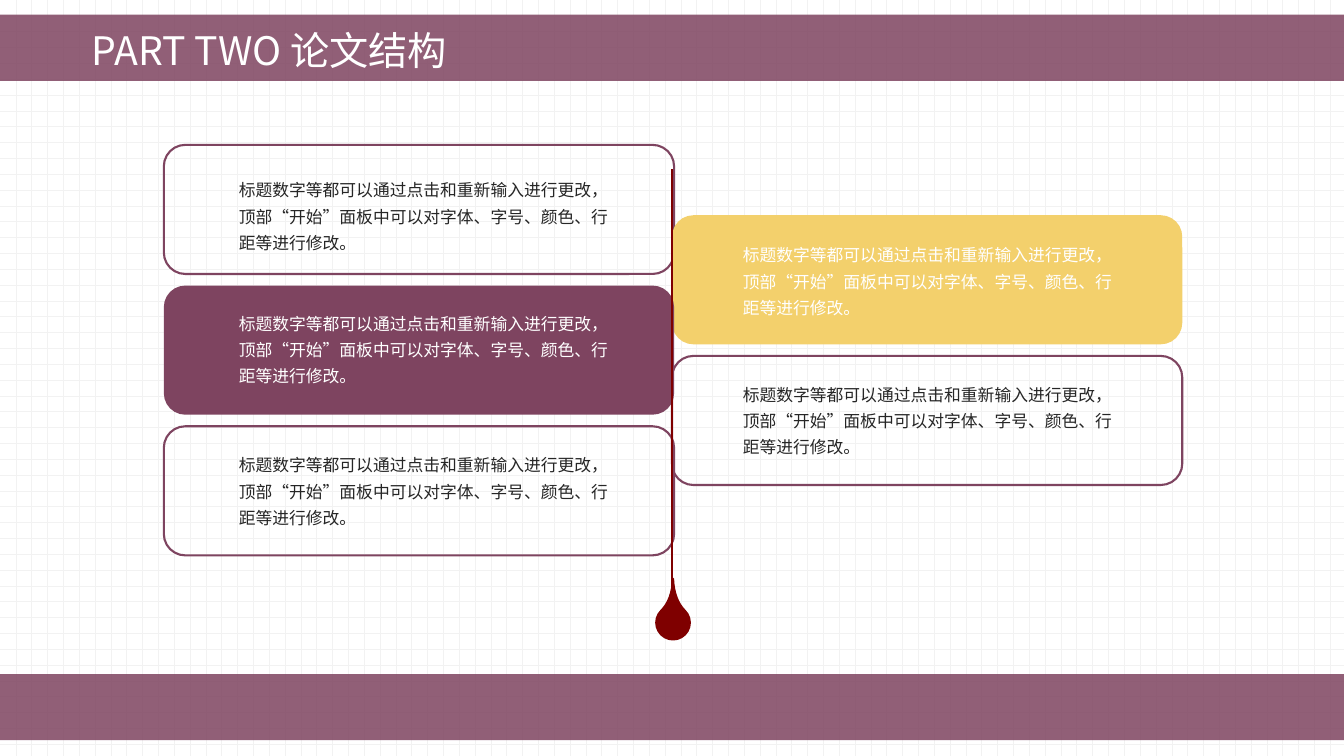
"""Build the thesis structure slide: staggered cards along a central line."""
import dataclasses

import lxml.etree
import pptx
import pptx.dml.color
import pptx.enum.dml
import pptx.enum.shapes
import pptx.enum.text
import pptx.oxml.ns
import pptx.util

EMU_PER_PX = 9525
SHAPE = pptx.enum.shapes.MSO_SHAPE
ANCHOR = pptx.enum.text.MSO_ANCHOR
TITLE = "PART TWO 论文结构"
CARD_TEXT = "标题数字等都可以通过点击和重新输入进行更改，顶部“开始”面板中可以对字体、字号、颜色、行距等进行修改。"


@dataclasses.dataclass(frozen=True)
class Theme:
    """Hold the colours, font and sizes of the slide."""
    plum: str = "7E4460"
    gold: str = "F3D06C"
    maroon: str = "7F0000"
    ink: str = "262626"
    white: str = "FFFFFF"
    grid: str = "F2F2F2"
    font: str = "Noto Sans CJK SC"
    title_size: int = 28
    body_size: int = 12
    line_width: float = 1.5


THEME = Theme()


def px(length):
    """Convert pixels to EMU."""
    return pptx.util.Emu(length * EMU_PER_PX)


def rgb(colour):
    """Turn a hex string into a colour."""
    return pptx.dml.color.RGBColor.from_string(colour)


def apply_format(target, values):
    """Set each named attribute on the target."""
    for name, value in values.items():
        setattr(target, name, value)


def paint_background(slide):
    """Fill the background with a pale dotted grid."""
    fill = slide.background.fill
    fill.patterned()
    fill.pattern = pptx.enum.dml.MSO_PATTERN.DOTTED_GRID
    fill.fore_color.rgb = rgb(THEME.grid)
    fill.back_color.rgb = rgb(THEME.white)


def style_line(line, colour):
    """Give a line its colour and the common width."""
    line.color.rgb = rgb(colour)
    line.width = pptx.util.Pt(THEME.line_width)


def add_figure(slide, preset, box, fill=None, outline=None):
    """Add a flat preset shape with an optional fill and outline."""
    figure = slide.shapes.add_shape(preset, *map(px, box))
    figure.shadow.inherit = False
    if fill:
        figure.fill.solid()
        figure.fill.fore_color.rgb = rgb(fill)
    else:
        figure.fill.background()
    if outline:
        style_line(figure.line, outline)
    else:
        figure.line.fill.background()
    return figure


def add_band(slide, top):
    """Add a translucent band across the slide."""
    band = add_figure(slide, SHAPE.RECTANGLE, (0, top, 1280, 63), THEME.plum)
    qn = pptx.oxml.ns.qn
    colour = next(band._element.spPr.iter(qn("a:srgbClr")))
    lxml.etree.SubElement(colour, qn("a:alpha"), val="85000")


def add_text(slide, box, text, size, colour, frame_format, paragraph_format):
    """Add a wrapped text box with one paragraph."""
    frame = slide.shapes.add_textbox(*map(px, box)).text_frame
    apply_format(frame, {"word_wrap": True, **frame_format})
    paragraph = frame.paragraphs[0]
    apply_format(paragraph, paragraph_format)
    run = paragraph.add_run()
    run.text = text
    apply_format(run.font, {"size": pptx.util.Pt(size), "name": THEME.font})
    run.font.color.rgb = rgb(colour)
    lxml.etree.SubElement(run._r.get_or_add_rPr(), pptx.oxml.ns.qn("a:ea"),
                          typeface=THEME.font)


def add_stem(slide):
    """Add the vertical line between the two columns."""
    stem = slide.shapes.add_connector(
        pptx.enum.shapes.MSO_CONNECTOR.STRAIGHT, px(640), px(161), px(640), px(584))
    style_line(stem.line, THEME.maroon)
    lxml.etree.SubElement(stem._element.spPr, pptx.oxml.ns.qn("a:effectLst"))


def add_drop(slide):
    """Add the drop that hangs from the stem."""
    drop = add_figure(slide, SHAPE.TEAR, (625, 577, 32, 32), THEME.maroon, THEME.maroon)
    drop.adjustments[0] = 1.85
    drop.rotation = 315


def main():
    """Build and save the slide."""
    deck = pptx.Presentation()
    apply_format(deck, {"slide_width": px(1280), "slide_height": px(720)})
    slide = deck.slides.add_slide(deck.slide_layouts[6])
    paint_background(slide)
    for top in (14, 642):
        add_band(slide, top)
    add_text(slide, (78, 22, 511, 56), TITLE, THEME.title_size, THEME.white,
             {"vertical_anchor": ANCHOR.MIDDLE},
             {"line_spacing": 0.9, "space_before": pptx.util.Pt(10)})

    card_fills = (None, THEME.gold, THEME.plum, None, None)
    text_tops = (161, 223, 288, 356, 423)
    for index, fill in enumerate(card_fills):
        left = (156, 640)[index % 2]
        add_figure(slide, SHAPE.ROUNDED_RECTANGLE, (left, 138 + 67 * index, 486, 123),
                   fill, None if fill else THEME.plum)
    add_stem(slide)
    for index, (fill, top) in enumerate(zip(card_fills, text_tops)):
        add_text(slide, ((218, 698)[index % 2], top, 371, 85), CARD_TEXT,
                 THEME.body_size, THEME.white if fill else THEME.ink,
                 {"auto_size": pptx.enum.text.MSO_AUTO_SIZE.SHAPE_TO_FIT_TEXT},
                 {"line_spacing": 1.3})
    add_drop(slide)
    deck.save("out.pptx")


if __name__ == "__main__":
    main()
